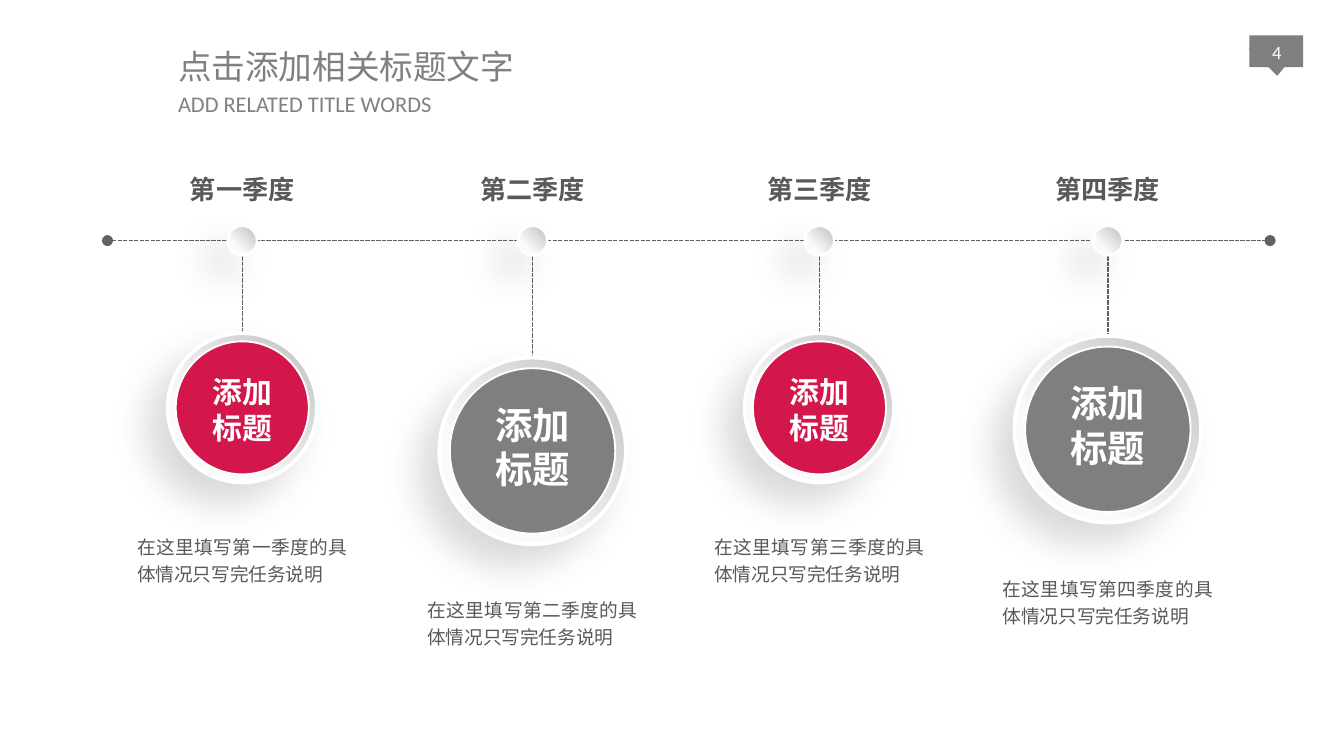
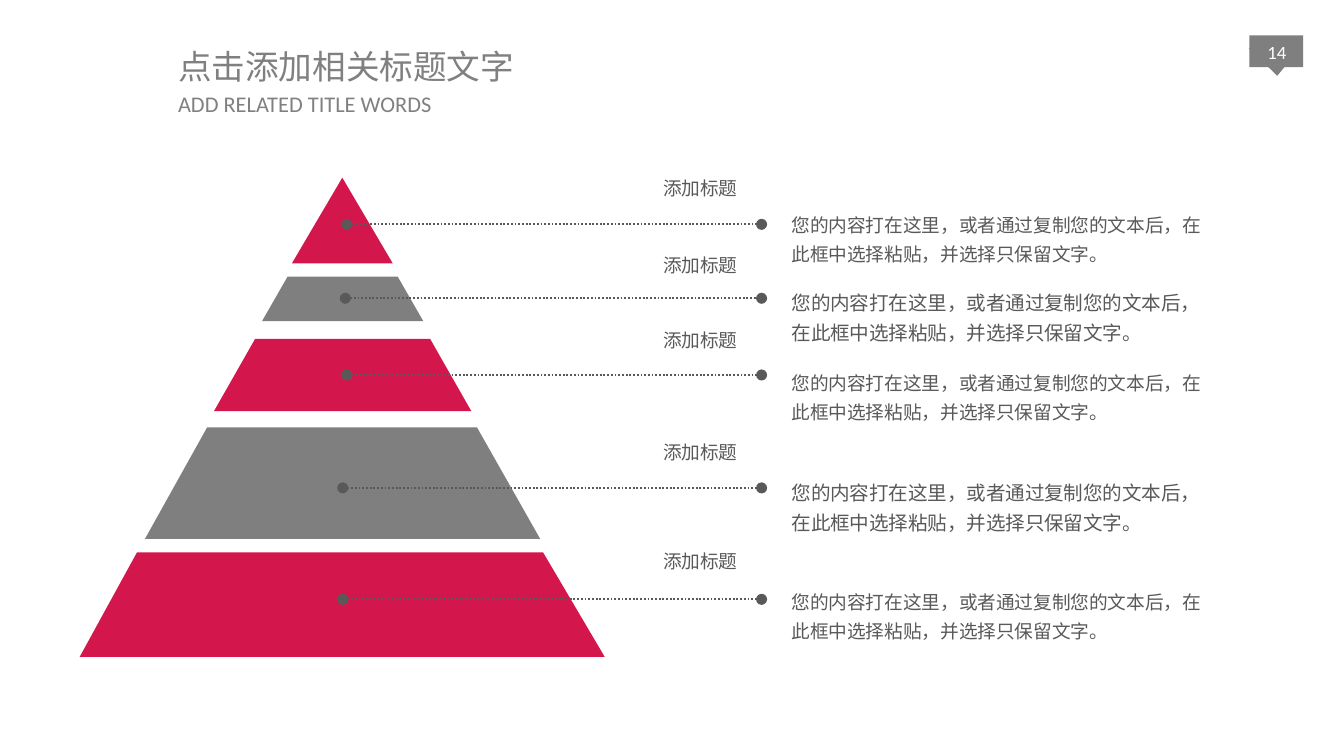
from dataclasses import dataclass, replace

from lxml.etree import SubElement
from pptx import Presentation
from pptx.dml.color import RGBColor
from pptx.enum.dml import MSO_LINE
from pptx.enum.shapes import MSO_CONNECTOR, MSO_SHAPE
from pptx.enum.text import MSO_ANCHOR, MSO_AUTO_SIZE, PP_ALIGN
from pptx.oxml.ns import qn
from pptx.shapes.autoshape import Shape
from pptx.slide import Slide
from pptx.text.text import TextFrame
from pptx.util import Pt

CRIMSON, GREY, TITLE_GREY = "D3174D", "7F7F7F", "808080"
INK, AXIS, WHITE = "595959", "626262", "FFFFFF"
RING_DARK, RING_LIGHT = "BFBFBF", "FAFAFA"
CJK, LATIN = "Noto Sans CJK SC", "Calibri"


@dataclass(frozen=True)
class TextStyle:
    size: float
    color: str = INK
    font: str = CJK
    bold: bool = False
    align: PP_ALIGN = PP_ALIGN.LEFT
    spacing: float = 1.0
    wrap: bool = False
    grow: bool = True
    anchor: MSO_ANCHOR = MSO_ANCHOR.TOP
    insets: tuple[float, float, float, float] = (7.2, 3.6, 7.2, 3.6)


@dataclass(frozen=True)
class Box:
    left: float
    top: float
    width: float
    height: float

    def emu(self) -> tuple[int, int, int, int]:
        return Pt(self.left), Pt(self.top), Pt(self.width), Pt(self.height)


@dataclass(frozen=True)
class DiscSize:
    ring: float
    disc: float
    color: str
    caption_size: float
    caption_width: float
    caption_height: float


@dataclass(frozen=True)
class Quarter:
    name: str
    center_x: float
    center_y: float
    caption_top: float
    note_top: float
    size: DiscSize


@dataclass(frozen=True)
class Tier:
    top: float
    bottom: float
    top_edge: tuple[float, float]
    bottom_edge: tuple[float, float]
    color: str
    leader_x: float
    leader_y: float
    label_top: float
    body_top: float
    body_size: float


# Text styles
TITLE = TextStyle(18, TITLE_GREY, insets=(7.92, 3.6, 7.92, 3.6))
SUBTITLE = replace(TITLE, size=12, font=LATIN)
PAGE_NUMBER = TextStyle(10, WHITE, LATIN, align=PP_ALIGN.CENTER, wrap=True, grow=False,
                        anchor=MSO_ANCHOR.MIDDLE, insets=(0, 0, 0, 3.6))
QUARTER_NAME = TextStyle(14, bold=True, align=PP_ALIGN.CENTER)
CAPTION = replace(QUARTER_NAME, color=WHITE)
NOTE = TextStyle(10, align=PP_ALIGN.JUSTIFY, spacing=1.2, wrap=True, anchor=MSO_ANCHOR.MIDDLE)
TIER_LABEL = TextStyle(10, align=PP_ALIGN.CENTER, insets=(5.76, 2.88, 5.76, 2.88))
TIER_BODY = replace(TIER_LABEL, align=PP_ALIGN.LEFT, spacing=1.3, wrap=True)

# Timeline content
SMALL = DiscSize(80, 71.3, CRIMSON, 16, 50, 46)
LARGE = DiscSize(100, 88.6, GREY, 20, 58, 55.4)
QUARTERS = [
    Quarter("第一季度", 129.8, 218.5, 196.6, 281.2, SMALL),
    Quarter("第二季度", 285.3, 241.6, 211.7, 315, LARGE),
    Quarter("第三季度", 439, 218.5, 196.6, 281.2, SMALL),
    Quarter("第四季度", 593.5, 230, 200.2, 303.5, LARGE),
]
AXIS_Y, STEM_END = 128.9, 199.4
AXIS_LEFT, AXIS_RIGHT = 57.6, 680.4
KNOB = 15.8

# Pyramid content
APEX = 183.4
TIERS = [
    Tier(95.2, 141.1, (APEX, APEX), (156.4, 210.4), CRIMSON, 185.8, 120.2, 91.9, 108, 10),
    Tier(148.2, 172.1, (154.1, 213.1), (140.4, 226.8), GREY, 185, 159.8, 132.9, 149, 10.5),
    Tier(181.5, 220.3, (136.7, 230.4), (114.6, 252.5), CRIMSON, 185.8, 200.9, 173.5, 192.7, 10),
    Tier(229, 288.7, (111, 255.6), (77.7, 289.4), GREY, 183.6, 261.4, 233, 250.8, 10.5),
    Tier(296, 352, (73.4, 291), (42.7, 324), CRIMSON, 183.6, 321.1, 291.6, 310, 10),
]
LEADER_END = 408
BODY = "您的内容打在这里，或者通过复制您的文本后，在此框中选择粘贴，并选择只保留文字。"


def rgb(color: str) -> RGBColor:
    return RGBColor.from_string(color)


def write(frame: TextFrame, lines: list[str], style: TextStyle) -> None:
    frame.word_wrap = style.wrap
    frame.auto_size = MSO_AUTO_SIZE.SHAPE_TO_FIT_TEXT if style.grow else MSO_AUTO_SIZE.NONE
    frame.vertical_anchor = style.anchor
    (frame.margin_left, frame.margin_top,
     frame.margin_right, frame.margin_bottom) = map(Pt, style.insets)
    for index, line in enumerate(lines):
        paragraph = frame.add_paragraph() if index else frame.paragraphs[0]
        paragraph.alignment = style.align
        paragraph.line_spacing = style.spacing
        run = paragraph.add_run()
        run.text = line
        run.font.size = Pt(style.size)
        run.font.bold = style.bold
        run.font.name = style.font
        run.font.color.rgb = rgb(style.color)
        SubElement(run.font._element, qn("a:ea"), typeface=style.font)


def add_text(slide: Slide, box: Box, lines: list[str], style: TextStyle) -> None:
    write(slide.shapes.add_textbox(*box.emu()).text_frame, lines, style)


def paint(shape: Shape, color: str, outline: float = 0) -> None:
    shape.shadow.inherit = False
    shape.fill.solid()
    shape.fill.fore_color.rgb = rgb(color)
    if outline:
        shape.line.color.rgb = rgb(WHITE)
        shape.line.width = Pt(outline)
    else:
        shape.line.fill.background()


def add_circle(slide: Slide, x: float, y: float, diameter: float,
               color: str, outline: float) -> Shape:
    box = Box(x - diameter / 2, y - diameter / 2, diameter, diameter)
    circle = slide.shapes.add_shape(MSO_SHAPE.OVAL, *box.emu())
    paint(circle, color, outline)
    return circle


def add_raised_circle(slide: Slide, x: float, y: float, diameter: float,
                      outline: float) -> None:
    circle = add_circle(slide, x, y, diameter, RING_LIGHT, outline)
    circle.fill.gradient()
    circle.fill.gradient_angle = 225
    stops = zip(circle.fill.gradient_stops, (RING_DARK, RING_LIGHT), (0, 0.7))
    for stop, color, position in stops:
        stop.color.rgb = rgb(color)
        stop.position = position
    # Soft shadow towards the lower left
    effects = circle._element.spPr.find(qn("a:effectLst"))
    shadow = SubElement(effects, qn("a:outerShdw"), blurRad=str(Pt(20)), dist=str(Pt(15)),
                        dir="8100000", algn="ctr", rotWithShape="0")
    tone = SubElement(shadow, qn("a:srgbClr"), val="000000")
    SubElement(tone, qn("a:alpha"), val="15000")


def add_dotted_line(slide: Slide, start: tuple[float, float], end: tuple[float, float],
                    color: str, width: float, dash: MSO_LINE) -> None:
    connector = slide.shapes.add_connector(MSO_CONNECTOR.STRAIGHT, *map(Pt, start + end))
    connector.line.color.rgb = rgb(color)
    connector.line.width = Pt(width)
    connector.line.dash_style = dash
    properties = connector._element.spPr
    for tag in ("a:headEnd", "a:tailEnd"):
        SubElement(properties.find(qn("a:ln")), qn(tag), type="oval")
    SubElement(properties, qn("a:effectLst"))


def add_page(deck: Presentation, number: int) -> Slide:
    slide = deck.slides.add_slide(deck.slide_layouts[5])
    # Page number badge
    flag = slide.shapes.add_shape(MSO_SHAPE.RECTANGLE, *Box(669.4, 18.9, 28.8, 17.1).emu())
    pointer = slide.shapes.add_shape(MSO_SHAPE.ISOSCELES_TRIANGLE,
                                     *Box(669.4, 25, 28.8, 15.6).emu())
    pointer.rotation = 176.8
    for part in (flag, pointer):
        paint(part, GREY)
    add_text(slide, Box(670.8, 15.8, 26.6, 27.4), [str(number)], PAGE_NUMBER)
    # Heading
    title = slide.shapes.title
    title.left, title.top, title.width, title.height = Box(87.5, 21.2, 197.3, 29.5).emu()
    write(title.text_frame, ["点击添加相关标题文字"], TITLE)
    add_text(slide, Box(87.5, 44.6, 152.6, 22.3), ["ADD RELATED TITLE WORDS"], SUBTITLE)
    return slide


def draw_timeline(slide: Slide) -> None:
    # Dashed axis and stems lie behind the circles
    spans = [((q.center_x, AXIS_Y), (q.center_x, STEM_END)) for q in QUARTERS]
    spans.append(((AXIS_LEFT, AXIS_Y), (AXIS_RIGHT, AXIS_Y)))
    for start, end in spans:
        add_dotted_line(slide, start, end, AXIS, 0.75, MSO_LINE.SQUARE_DOT)

    for quarter in QUARTERS:
        x, y, size = quarter.center_x, quarter.center_y, quarter.size
        add_raised_circle(slide, x, AXIS_Y, KNOB, 1.25)
        add_text(slide, Box(x - 35.6, 89.3, 71.2, 24.5), [quarter.name], QUARTER_NAME)
        add_raised_circle(slide, x, y, size.ring, 2)
        add_circle(slide, x, y, size.disc, size.color, 1)
        caption_box = Box(x - size.caption_width / 2, quarter.caption_top,
                          size.caption_width, size.caption_height)
        add_text(slide, caption_box, ["添加", "标题"], replace(CAPTION, size=size.caption_size))
        add_text(slide, Box(x - 63.4, quarter.note_top, 126.7, 36),
                 [f"在这里填写{quarter.name}的具体情况只写完任务说明"], NOTE)


def add_tier(slide: Slide, tier: Tier) -> None:
    left, right = tier.bottom_edge
    if tier.top_edge[0] == tier.top_edge[1]:
        box = Box(left, tier.top, right - left, tier.bottom - tier.top)
        block = slide.shapes.add_shape(MSO_SHAPE.ISOSCELES_TRIANGLE, *box.emu())
    else:
        top_left, top_right = tier.top_edge
        corners = [(top_right, tier.top), (right, tier.bottom), (left, tier.bottom)]
        outline = slide.shapes.build_freeform(Pt(top_left), Pt(tier.top))
        outline.add_line_segments([(Pt(x), Pt(y)) for x, y in corners], close=True)
        block = outline.convert_to_shape()
    paint(block, tier.color)


def draw_pyramid(slide: Slide) -> None:
    for tier in TIERS:
        add_tier(slide, tier)
    # Leaders, labels and explanations
    for tier in TIERS:
        add_dotted_line(slide, (tier.leader_x, tier.leader_y), (LEADER_END, tier.leader_y),
                        INK, 1, MSO_LINE.ROUND_DOT)
        add_text(slide, Box(349.2, tier.label_top, 51.8, 18), ["添加标题"], TIER_LABEL)
        add_text(slide, Box(418.3, tier.body_top, 238.3, 37.4 if tier.body_size == 10 else 38.9),
                 [BODY], replace(TIER_BODY, size=tier.body_size))


def main() -> None:
    deck = Presentation()
    deck.slide_width, deck.slide_height = Pt(720), Pt(405)
    draw_timeline(add_page(deck, 4))
    draw_pyramid(add_page(deck, 14))
    deck.save("out.pptx")


if __name__ == "__main__":
    main()
